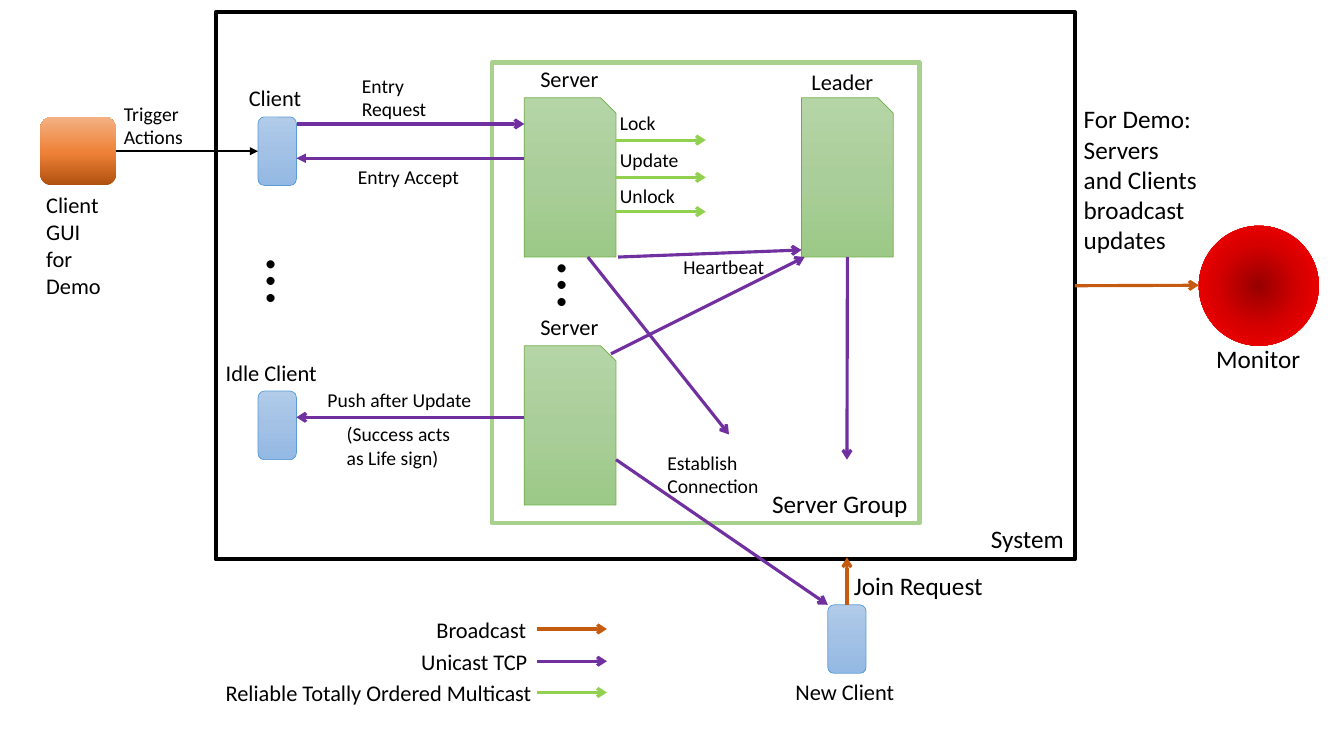
from dataclasses import dataclass

from pptx import Presentation
from pptx.dml.color import RGBColor
from pptx.enum.shapes import MSO_CONNECTOR, MSO_SHAPE
from pptx.enum.text import MSO_AUTO_SIZE, PP_ALIGN
from pptx.oxml import parse_xml
from pptx.oxml.ns import nsdecls, qn
from pptx.oxml.xmlchemy import OxmlElement
from pptx.slide import Slide
from pptx.util import Inches, Pt

FONT = "Calibri"
COLORS = {
    "ink": "000000",
    "unicast": "7030A0",
    "multicast": "92D050",
    "broadcast": "C55A11",
    "group": "A9D18E",
    "client": "5B9BD5",
    "server": "70AD47",
}
LINEAR = '<a:lin ang="{}" scaled="0"/>'
RADIAL = '<a:path path="circle"><a:fillToRect l="50000" t="50000" r="50000" b="50000"/></a:path>'
GRADIENTS = {
    "client": ([(0, "B1CBE9"), (50, "A3C1E5"), (100, "93B9E4")], LINEAR.format(90 * 60000)),
    "server": ([(0, "B5D5A7"), (50, "AACE9A"), (100, "9CC987")], LINEAR.format(90 * 60000)),
    "gui": ([(0, "B0500F"), (48, "EE8137"), (100, "F4B183")], LINEAR.format(270 * 60000)),
    "monitor": ([(0, "970000"), (50, "D70000"), (100, "FF0000")], RADIAL),
}
CLIENT_SIZE = (0.38, 0.68)
SERVER_SIZE = (0.91, 1.58)


@dataclass
class Region:
    """Places parts relative to its own top left corner."""
    slide: Slide
    left: float
    top: float

    def at(self, x, y):
        return Inches(self.left + x), Inches(self.top + y)

    def inner(self, x, y):
        return Region(self.slide, self.left + x, self.top + y)

    def label(self, text, x, y, width, height, size=14, wrap=True, align=PP_ALIGN.LEFT, rotation=0):
        box = self.slide.shapes.add_textbox(*self.at(x, y), Inches(width), Inches(height))
        box.rotation = rotation
        frame = box.text_frame
        frame.word_wrap = wrap
        frame.auto_size = MSO_AUTO_SIZE.SHAPE_TO_FIT_TEXT
        frame.text = text
        for paragraph in frame.paragraphs:
            paragraph.alignment = align
            for name, value in {"name": FONT, "size": Pt(size)}.items():
                setattr(paragraph.runs[0].font, name, value)
            paragraph.runs[0].font.color.rgb = RGBColor.from_string(COLORS["ink"])

    def shape(self, kind, x, y, size, gradient=None, line=None, weight=0.5):
        part = self.slide.shapes.add_shape(kind, *self.at(x, y), *map(Inches, size))
        part.shadow.inherit = False
        part.fill.background()
        if gradient:
            stops, direction = GRADIENTS[gradient]
            stop_xml = "".join(
                f'<a:gs pos="{pos * 1000}"><a:srgbClr val="{color}"/></a:gs>' for pos, color in stops)
            properties = part._element.spPr
            properties.replace(properties.find(qn("a:noFill")), parse_xml(
                f'<a:gradFill {nsdecls("a")} rotWithShape="1">'
                f"<a:gsLst>{stop_xml}</a:gsLst>{direction}</a:gradFill>"))
        if line:
            part.line.color.rgb = RGBColor.from_string(COLORS[line])
            part.line.width = Pt(weight)
        else:
            part.line.fill.background()
        return part

    def arrow(self, start, end, color="unicast", weight=2.25, tip="arrow"):
        link = self.slide.shapes.add_connector(
            MSO_CONNECTOR.STRAIGHT, *self.at(*start), *self.at(*end))
        link.line.color.rgb = RGBColor.from_string(COLORS[color])
        link.line.width = Pt(weight)
        tail = OxmlElement("a:tailEnd")
        tail.set("type", tip)
        link.line._get_or_add_ln().append(tail)
        link._element.spPr.append(OxmlElement("a:effectLst"))
        return link


def draw_client(region, name, label_x, label_y, label_width):
    region.label(name, label_x, label_y, label_width, 0.37, 16)
    return region.shape(MSO_SHAPE.ROUNDED_RECTANGLE, 0, 0, CLIENT_SIZE, "client", "client")


def draw_server(region, name, label_x, label_y, label_width):
    region.label(name, label_x, label_y, label_width, 0.37, 16, wrap=False)
    return region.shape(MSO_SHAPE.SNIP_1_RECTANGLE, 0, 0, SERVER_SIZE, "server", "server")


def draw_ellipsis(region):
    region.label("…", 0, 0, 0.67, 0.91, 48, rotation=90)


def draw_server_group(region):
    """Draws the servers with their messages and returns the leader."""
    region.shape(MSO_SHAPE.RECTANGLE, 0, 0, (4.24, 4.57), line="group", weight=3)
    region.label("Server Group", 2.68, 4.18, 1.56, 0.4, 18, wrap=False)
    for top in (0.35, 2.81):
        draw_server(region.inner(0.32, top), "Server", 0.06, -0.37, 0.79)
    leader = draw_server(region.inner(3.07, 0.35), "Leader", 0, -0.34, 0.91)
    for step, y, label_y, width in (("Lock", 0.77, 0.43, 0.56),
                                    ("Update", 1.14, 0.8, 0.79),
                                    ("Unlock", 1.48, 1.16, 0.75)):
        region.arrow((1.23, y), (2.12, y), "multicast")
        region.label(step, 1.17, label_y, width, 0.34, wrap=False)
    for start, end in (((1.25, 1.93), (3.07, 1.86)),
                       ((1.18, 2.89), (3.1, 1.93)),
                       ((0.95, 1.93), (2.35, 3.69))):
        region.arrow(start, end)
    region.arrow((3.52, 1.93), (3.52, 3.94)).begin_connect(leader, 2)
    region.label("Heartbeat", 1.8, 1.86, 1.01, 0.34)
    region.label("Establish\nConnection", 1.64, 3.8, 1.12, 0.57)
    draw_ellipsis(region.inner(0.58, 1.77))


def draw_system(region):
    """Draws the system frame and returns it with the active client."""
    frame = region.shape(MSO_SHAPE.RECTANGLE, 0, 0, (8.52, 5.43), line="ink", weight=3)
    region.label("System", 7.59, 5.02, 0.93, 0.4, 18, wrap=False)
    client = draw_client(region.inner(0.42, 1.04), "Client", -0.19, -0.37, 0.77)
    draw_client(region.inner(0.42, 3.76), "Idle Client", -0.42, -0.37, 1.22)
    draw_ellipsis(region.inner(0.44, 2.23))
    draw_server_group(region.inner(2.74, 0.5))
    region.arrow((0.81, 1.11), (3.06, 1.11))
    region.arrow((3.06, 1.45), (0.8, 1.45), tip="triangle")
    region.arrow((3.06, 4.02), (0.8, 4.02))
    region.label("Entry Request", 1.35, 0.56, 0.91, 0.57)
    region.label("Entry Accept", 1.31, 1.47, 1.22, 0.34)
    region.label("Push after Update", 1.01, 3.68, 1.64, 0.34)
    region.label("(Success acts\nas Life sign)", 1.2, 4.02, 1.23, 0.57)
    return frame, client


def draw_demo_gui(region, client):
    gui = region.shape(MSO_SHAPE.ROUNDED_RECTANGLE, 0, 0, (0.75, 0.68), "gui")
    region.label("Client GUI for Demo", -0.04, 0.69, 0.82, 1.18, 16)
    region.label("Trigger\nActions", 0.73, -0.2, 0.79, 0.57, wrap=False)
    trigger = region.arrow((0.75, 0.34), (2.16, 0.34), "ink", 1.5, "triangle")
    trigger.begin_connect(gui, 3)
    trigger.end_connect(client, 1)


def draw_monitor(region, system):
    region.shape(MSO_SHAPE.FLOWCHART_CONNECTOR, 0, 0, (1.19, 1.19), "monitor")
    region.label("Monitor", 0.07, 1.12, 1.04, 0.4, 18, wrap=False, align=PP_ALIGN.CENTER)
    region.label("For Demo:\nServers and Clients broadcast updates", -1.24, -1.26, 1.32, 1.92, 18)
    region.arrow((-1.23, 0.59), (0, 0.59), "broadcast").begin_connect(system, 3)


def draw_new_client(region):
    new_client = draw_client(region, "New Client", -0.42, 0.68, 1.22)
    region.label("Join Request", 0.16, -0.39, 1.5, 0.4, 18, wrap=False)
    region.arrow((0.19, 0), (0.19, -0.47), "broadcast").begin_connect(new_client, 0)
    region.arrow((-2.1, -1.44), (0, 0))


def draw_legend(region):
    for name, color, y, x, width in (("Broadcast", "broadcast", 0, 2.09, 1.1),
                                     ("Unicast TCP", "unicast", 0.32, 1.94, 1.27),
                                     ("Reliable Totally Ordered Multicast", "multicast", 0.63, 0, 3.3)):
        region.label(name, x, y, width, 0.37, 16)
        region.arrow((3.19, y + 0.18), (3.88, y + 0.18), color)


def main():
    deck = Presentation()
    deck.slide_width, deck.slide_height = Inches(13.33), Inches(7.5)
    page = Region(deck.slides.add_slide(deck.slide_layouts[6]), 0, 0)
    system, client = draw_system(page.inner(2.14, 0.12))
    draw_demo_gui(page.inner(0.4, 1.16), client)
    draw_monitor(page.inner(11.89, 2.24), system)
    draw_new_client(page.inner(8.21, 6))
    draw_legend(page.inner(2.14, 6.06))
    deck.save("out.pptx")


if __name__ == "__main__":
    main()
